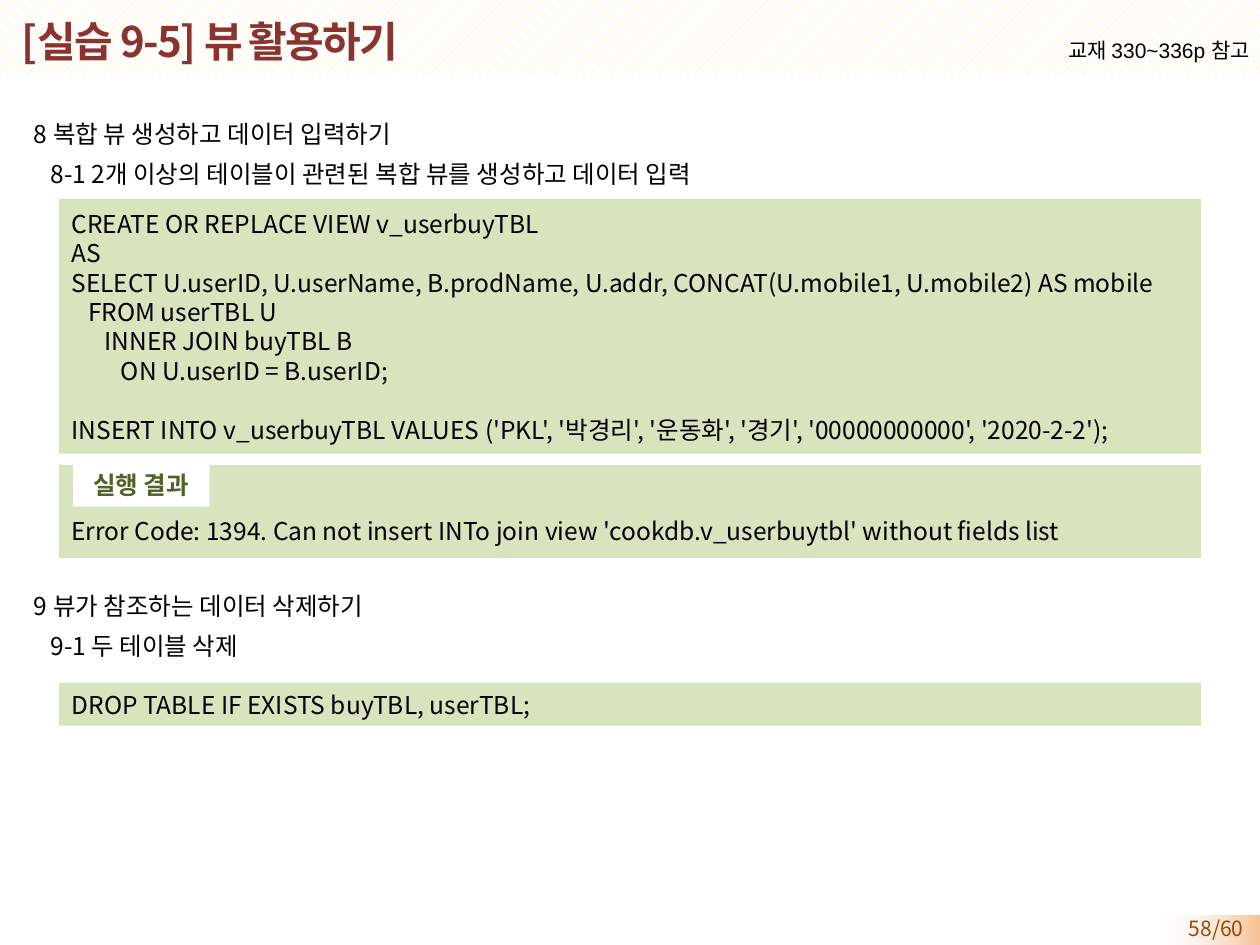
from dataclasses import dataclass

from lxml import etree
from pptx import Presentation
from pptx.dml.color import RGBColor
from pptx.enum import dml, shapes, text
from pptx.oxml import ns
from pptx.util import Pt


@dataclass(frozen=True)
class Theme:
    """Colours, fonts and type sizes of the deck."""
    ink: str = "000000"
    white: str = "FFFFFF"
    title: str = "8B3331"
    code: str = "D7E4BD"
    tag: str = "4F6228"
    page: str = "984807"
    page_from: str = "FAC090"
    page_to: str = "F2F2F2"
    stripe: str = "FDED9C"
    sans: str = "Noto Sans CJK KR"
    latin: str = "Arial"
    title_size: int = 24
    body_size: int = 14
    small_size: int = 12
    line: float = 16.8
    step: float = 9.4


T = Theme()
LEFT, MIDDLE, TOP = text.PP_ALIGN.LEFT, text.MSO_ANCHOR.MIDDLE, text.MSO_ANCHOR.TOP


def rgb(value):
    """Turn a hex string into a colour."""
    return RGBColor.from_string(value)


def place(sp, box):
    """Move a shape to a box given in points."""
    sp.left, sp.top, sp.width, sp.height = (Pt(v) for v in box)


def style(p, size=T.body_size, color=T.ink, bold=False, font=T.sans, align=LEFT):
    """Format a paragraph and its runs."""
    p.alignment = align
    for r in p.runs:
        r.font.size, r.font.bold = Pt(size), bold
        r.font.color.rgb = rgb(color)
        r.font.name = font
        etree.SubElement(r.font._element, ns.qn("a:ea")).set("typeface", T.sans)


def indent(p, points):
    """Set the left indent of a paragraph without a bullet."""
    pPr = p._p.get_or_add_pPr()
    pPr.set("marL", str(Pt(points)))
    pPr.set("indent", "0")
    etree.SubElement(pPr, ns.qn("a:buNone"))


def add_rect(s, box, fill=None):
    """Add a plain rectangle without line or shadow."""
    sp = s.shapes.add_shape(shapes.MSO_SHAPE.RECTANGLE, *(Pt(v) for v in box))
    sp.shadow.inherit = False
    sp.line.fill.background()
    if fill:
        sp.fill.solid()
        sp.fill.fore_color.rgb = rgb(fill)
    return sp


def add_label(s, box, words, **look):
    """Add a one-line text box aligned right."""
    tf = s.shapes.add_textbox(*(Pt(v) for v in box)).text_frame
    tf.word_wrap = False
    tf.text = words
    style(tf.paragraphs[0], T.small_size, align=text.PP_ALIGN.RIGHT, **look)


def header(s, box, title, reference):
    """Draw the striped band with the title and the book reference."""
    x, y, w, h = box
    band = add_rect(s, box)
    band.fill.patterned()
    band.fill.pattern = dml.MSO_PATTERN.WIDE_UPWARD_DIAGONAL
    band.fill.fore_color.rgb, band.fill.back_color.rgb = rgb(T.stripe), rgb(T.white)
    sp = s.shapes.title
    s.shapes._spTree.append(sp._element)
    place(sp, (x + 5, y + 5.8, 612.7, 37.4))
    tf = sp.text_frame
    tf.text = title
    tf.auto_size, tf.vertical_anchor = text.MSO_AUTO_SIZE.NONE, MIDDLE
    style(tf.paragraphs[0], T.title_size, T.title, bold=True)
    tf.paragraphs[0].runs[0].font._element.set("spc", "-100")
    add_label(s, (x + w - 126, y + 19.4, 127.4, 21.6), reference, font=T.latin)


def footer(s, box, number):
    """Draw the fading page-number tab."""
    x, y, w, h = box
    tab = add_rect(s, box)
    tab.fill.gradient()
    tab.fill.gradient_angle = 180
    for stop, color, at in zip(tab.fill.gradient_stops, (T.page_from, T.page_to), (0, 1)):
        stop.color.rgb, stop.position = rgb(color), at
    clear = tab._element.spPr.findall(".//" + ns.qn("a:srgbClr"))[1]
    etree.SubElement(clear, ns.qn("a:alpha")).set("val", "0")
    add_label(s, (x - 10.8, y - 3.6, 66.2, 16.6), number, color=T.page)


def outline(s, box, items):
    """Fill the body placeholder with (level, space before, words) items."""
    sp = s.placeholders[1]
    s.shapes._spTree.append(sp._element)
    place(sp, box)
    tf = sp.text_frame
    tf.text = "\n".join(words for _, _, words in items)
    tf.auto_size, tf.vertical_anchor = text.MSO_AUTO_SIZE.NONE, TOP
    for p, (level, before, _) in zip(tf.paragraphs, items):
        p.line_spacing, p.space_before = 1.2, Pt(before)
        indent(p, 7.2 + level * T.step)
        style(p)


def code_block(s, box, lines, top=3.6):
    """Draw a green block of (level, blank lines before, words) code lines."""
    tf = add_rect(s, box, T.code).text_frame
    tf.text = "\n".join(words for _, _, words in lines)
    tf.vertical_anchor, tf.margin_top = MIDDLE, Pt(top)
    for p, (level, blanks, _) in zip(tf.paragraphs, lines):
        p.space_before = Pt(blanks * T.line)
        indent(p, level * T.step)
        style(p)


def result_block(s, box, tag, words):
    """Draw a code block with a white tag in its top left corner."""
    x, y, w, h = box
    code_block(s, box, [(0, 0, words)], top=25.2)
    tf = add_rect(s, (x + 8, y - 0.6, 77.8, 24.5), T.white).text_frame
    tf.text = tag
    tf.vertical_anchor = TOP
    style(tf.paragraphs[0], color=T.tag, bold=True, align=text.PP_ALIGN.CENTER)


def main():
    """Build the slide and save it."""
    prs = Presentation()
    prs.slide_width, prs.slide_height = Pt(720), Pt(540)
    s = prs.slides.add_slide(prs.slide_layouts[1])
    left, width = 33.8, 652.4
    footer(s, (662.4, 523.4, 57.6, 17.3), "58/60")
    header(s, (0, -1.4, 720, 43.9), "[실습 9-5] 뷰 활용하기", "교재 330~336p 참고")
    outline(s, (5, 61.2, 705.6, 446.4), [
        (0, 2.8, "8 복합 뷰 생성하고 데이터 입력하기"),
        (1, 2.8, "8-1 2개 이상의 테이블이 관련된 복합 뷰를 생성하고 데이터 입력"),
        (0, 226.2, "9 뷰가 참조하는 데이터 삭제하기"),
        (1, 2.8, "9-1 두 테이블 삭제"),
    ])
    code_block(s, (left, 113.8, width, 145.4), [
        (0, 0, "CREATE OR REPLACE VIEW v_userbuyTBL"),
        (0, 0, "AS"),
        (0, 0, "SELECT U.userID, U.userName, B.prodName, U.addr, "
               "CONCAT(U.mobile1, U.mobile2) AS mobile"),
        (1, 0, "FROM userTBL U"),
        (2, 0, "INNER JOIN buyTBL B"),
        (3, 0, "ON U.userID = B.userID;"),
        (0, 1, "INSERT INTO v_userbuyTBL VALUES ('PKL', '박경리', '운동화', '경기', "
               "'00000000000', '2020-2-2');"),
    ])
    result_block(s, (left, 265.7, width, 53.3), "실행 결과",
                 "Error Code: 1394. Can not insert INTo join view "
                 "'cookdb.v_userbuytbl' without fields list")
    code_block(s, (left, 390.2, width, 24.5),
               [(0, 0, "DROP TABLE IF EXISTS buyTBL, userTBL;")])
    prs.save("out.pptx")


if __name__ == "__main__":
    main()
